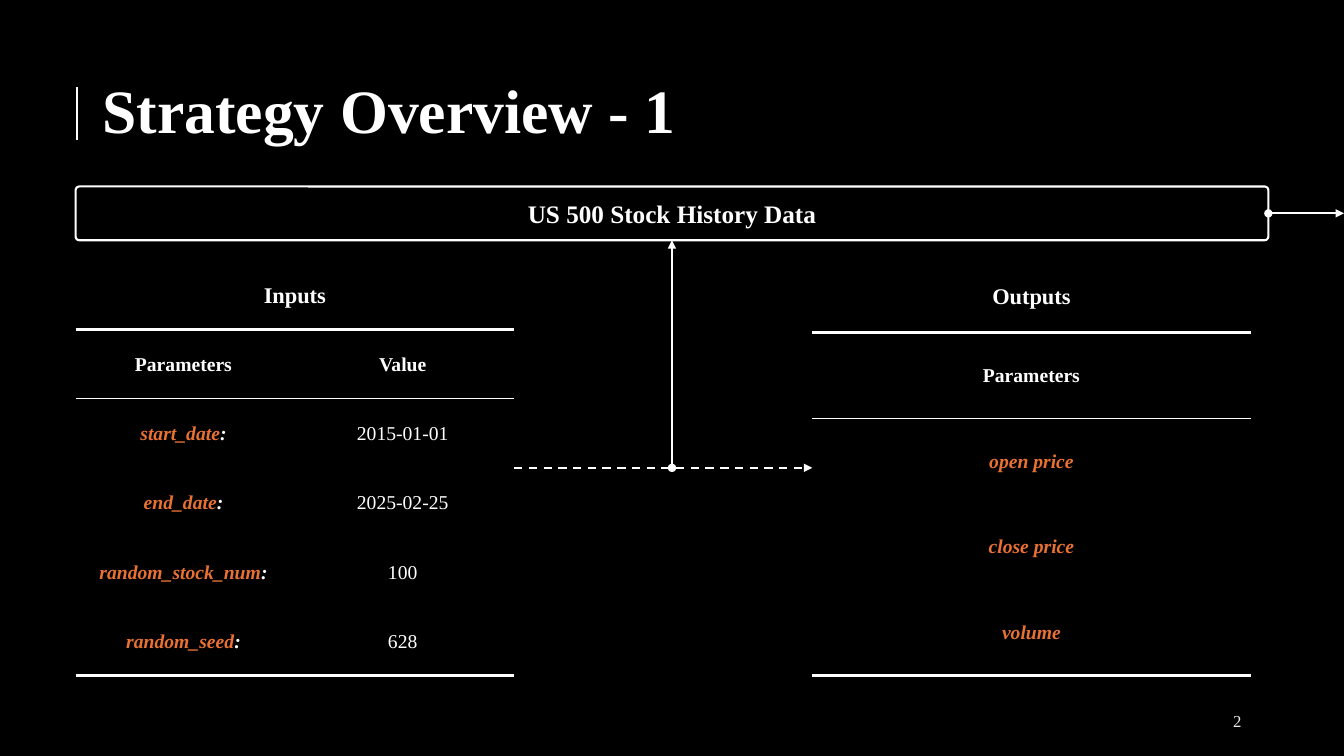
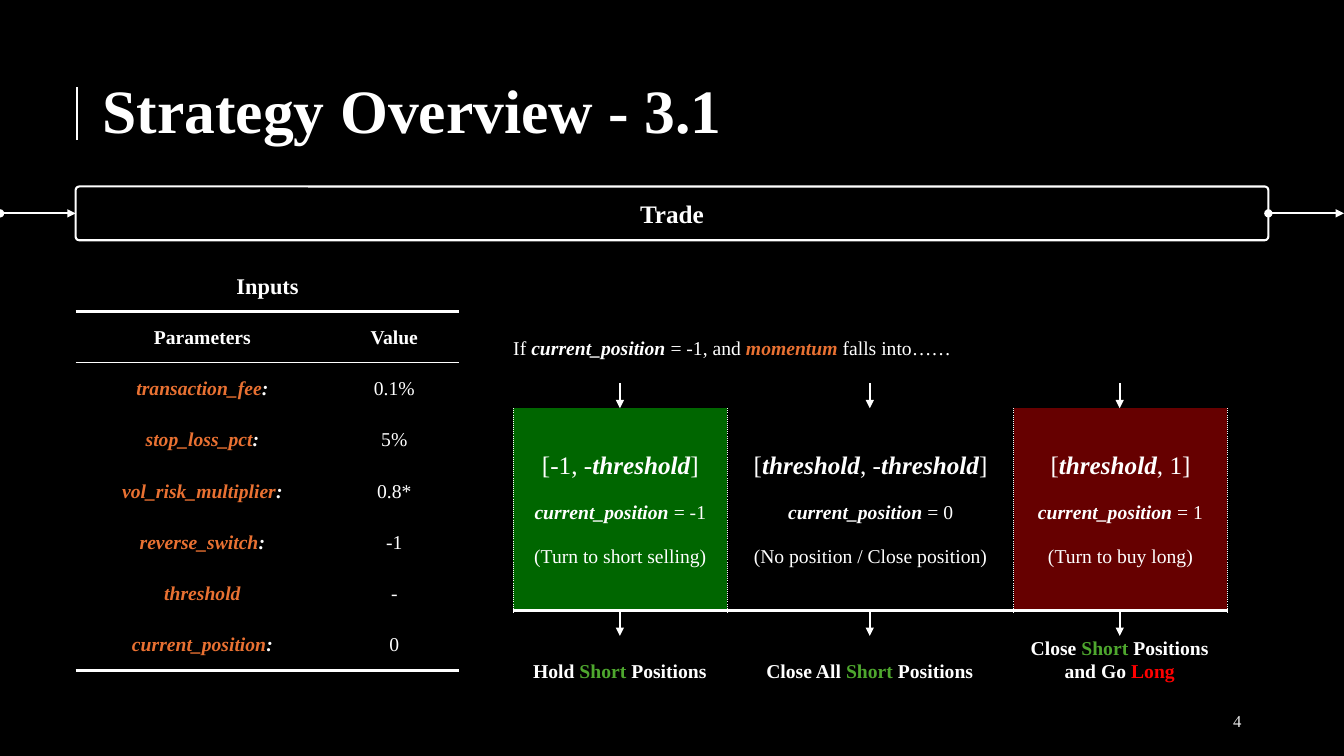
from collections import namedtuple

from lxml import etree
from pptx import Presentation
from pptx.dml.color import RGBColor
from pptx.enum.dml import MSO_LINE
from pptx.enum.shapes import MSO_CONNECTOR, MSO_SHAPE
from pptx.enum.text import MSO_ANCHOR, PP_ALIGN
from pptx.oxml.ns import qn
from pptx.util import Emu, Inches, Pt

STRAIGHT = MSO_CONNECTOR.STRAIGHT
ROUNDED = MSO_SHAPE.ROUNDED_RECTANGLE
DASH = MSO_LINE.DASH
LEFT, CENTER, RIGHT = PP_ALIGN.LEFT, PP_ALIGN.CENTER, PP_ALIGN.RIGHT
TOP, MIDDLE = MSO_ANCHOR.TOP, MSO_ANCHOR.MIDDLE

COLUMNS, ROWS, GRID_STEP = 160, 90, 76200
FONT = "Times New Roman"
BLACK, WHITE, GREY = "000000", "FFFFFF", "EAEAEA"
ORANGE, GREEN, RED = "E97132", "4EA72E", "FF0000"
SHORT_BAND, LONG_BAND = "006600", "660000"
PLAIN_TABLE = "{2D5ABB26-0587-4C30-8999-92F81FD0307C}"
THICK, THIN = (2.25, "solid"), (1, "solid")
DOTTED = (1, "sysDot")

Style = namedtuple("Style", "size color bold italic", defaults=(WHITE, False, False))
STYLES = {
    "title": Style(44, bold=True),
    "banner": Style(18, bold=True),
    "caption": Style(16, bold=True),
    "label": Style(14, bold=True),
    "value": Style(14),
    "term": Style(14, bold=True, italic=True),
    "parameter": Style(14, ORANGE, True, True),
    "range": Style(18),
    "range term": Style(18, bold=True, italic=True),
    "short": Style(14, GREEN, True),
    "long": Style(14, RED, True),
    "page": Style(12, GREY),
}

MARGIN, TABLE_TOP = 9, 31
BANNER_TOP, BANNER_WIDTH, BANNER_HEIGHT = 22.2, 142, 6.4
BANNER_MIDDLE = BANNER_TOP + BANNER_HEIGHT / 2
BANNER_LEFT_SIDE, BANNER_BOTTOM, BANNER_RIGHT_SIDE = 1, 2, 3


def grid(steps):
    """Turn grid columns or rows into a length."""
    return Emu(round(steps * GRID_STEP))


def color(hex_code):
    return RGBColor.from_string(hex_code)


def parameter(name, mark=":"):
    """Runs for a parameter name and the mark after it."""
    return [(name, "parameter"), (mark, "term")] if mark else [(name, "parameter")]


def write(frame, lines, align=CENTER, spacing=1.0, gap=0):
    """Fill a frame with lines, each a list of (text, style name) runs."""
    for index, line in enumerate(lines):
        paragraph = frame.add_paragraph() if index else frame.paragraphs[0]
        paragraph.alignment = align
        paragraph.line_spacing = spacing
        paragraph.space_before = Pt(gap if index else 0)
        for text, name in line:
            style = STYLES[name]
            run = paragraph.add_run()
            run.text = text
            run.font.name = FONT
            run.font.size = Pt(style.size)
            run.font.bold = style.bold
            run.font.italic = style.italic
            run.font.color.rgb = color(style.color)


def set_borders(cell, **sides):
    """Draw cell borders; sides L, R, T, B come in that order."""
    properties = cell._tc.get_or_add_tcPr()
    for side, (width, dash) in sides.items():
        line = etree.SubElement(properties, qn(f"a:ln{side}"), w=str(Pt(width)))
        fill = etree.SubElement(line, qn("a:solidFill"))
        etree.SubElement(fill, qn("a:srgbClr"), val=WHITE)
        etree.SubElement(line, qn("a:prstDash"), val=dash)


class Deck:
    def __init__(self):
        self.presentation = Presentation()
        self.presentation.slide_width = grid(COLUMNS)
        self.presentation.slide_height = grid(ROWS)
        backdrop = self.presentation.slide_master.background.fill
        backdrop.solid()
        backdrop.fore_color.rgb = color(BLACK)
        self.slide = None

    def new_slide(self, title, page):
        layout = self.presentation.slide_layouts.get_by_name("Title Only")
        self.slide = self.presentation.slides.add_slide(layout)
        heading = self.slide.shapes.title
        heading.left, heading.top = grid(11), grid(4.8)
        heading.width, heading.height = grid(138), grid(17.4)
        heading.text_frame.vertical_anchor = MIDDLE
        write(heading.text_frame, [[(title, "title")]], LEFT, 0.9)
        self.line((9.12, 16.7), (9.12, 10.3), tail=None)
        self.text(113, 83.4, 36, 4.8, [[(page, "page")]], RIGHT, anchor=MIDDLE, inset=0.1)

    def text(self, left, top, width, height, lines, align=LEFT, spacing=1.0,
             anchor=TOP, inset=0):
        box = self.slide.shapes.add_textbox(grid(left), grid(top), grid(width), grid(height))
        frame = box.text_frame
        frame.word_wrap = True
        frame.vertical_anchor = anchor
        frame.margin_left = frame.margin_right = Inches(inset)
        frame.margin_top = frame.margin_bottom = Inches(inset / 2)
        write(frame, lines, align, spacing)

    def line(self, start, end, head=None, tail="triangle", dash=None,
             start_joint=None, end_joint=None):
        """Draw a line; a joint is a (shape, side) pair."""
        connector = self.slide.shapes.add_connector(
            STRAIGHT, *(grid(steps) for steps in (*start, *end)))
        if start_joint:
            connector.begin_connect(*start_joint)
        if end_joint:
            connector.end_connect(*end_joint)
        connector.line.width = Pt(1.5)
        connector.line.color.rgb = color(WHITE)
        if dash:
            connector.line.dash_style = dash
        outline = connector.line._get_or_add_ln()
        for tag, tip in (("a:headEnd", head), ("a:tailEnd", tail)):
            if tip:
                etree.SubElement(outline, qn(tag), type=tip)
        etree.SubElement(connector._element.spPr, qn("a:effectLst"))

    def banner(self, stage, incoming=False):
        """Stage banner with the arrows that run off the slide's edges."""
        bar = self.slide.shapes.add_shape(
            ROUNDED, grid(MARGIN), grid(BANNER_TOP), grid(BANNER_WIDTH), grid(BANNER_HEIGHT))
        bar.adjustments[0] = 0.07
        bar.shadow.inherit = False
        bar.fill.background()
        bar.line.color.rgb = color(WHITE)
        bar.line.width = Pt(1.5)
        bar.text_frame.vertical_anchor = MIDDLE
        write(bar.text_frame, [[(stage, "banner")]])
        if incoming:
            self.line((0, BANNER_MIDDLE), (MARGIN, BANNER_MIDDLE), head="oval",
                      end_joint=(bar, BANNER_LEFT_SIDE))
        self.line((MARGIN + BANNER_WIDTH, BANNER_MIDDLE), (COLUMNS, BANNER_MIDDLE),
                  head="oval", start_joint=(bar, BANNER_RIGHT_SIDE))
        return bar

    def table(self, left, top, widths, heights):
        frame = self.slide.shapes.add_table(
            len(heights), len(widths), grid(left), grid(top),
            grid(sum(widths)), grid(sum(heights)))
        table = frame.table
        table.first_row = table.horz_banding = False
        table._tbl.tblPr.find(qn("a:tableStyleId")).text = PLAIN_TABLE
        for column, width in zip(table.columns, widths):
            column.width = grid(width)
        for row, height in zip(table.rows, heights):
            row.height = grid(height)
        return table

    def cell(self, cell, lines, fill=BLACK, gap=0, **borders):
        cell.margin_left = cell.margin_right = cell.margin_top = Inches(0.01)
        cell.margin_bottom = 0
        cell.vertical_anchor = MIDDLE
        write(cell.text_frame, lines, gap=gap)
        set_borders(cell, **borders)
        if fill:
            cell.fill.solid()
            cell.fill.fore_color.rgb = color(fill)
        else:
            cell.fill.background()

    def parameter_table(self, left, widths, heights, caption, headers, entries):
        """Three-rule table: caption, headers, then entries as lists of runs."""
        table = self.table(left, TABLE_TOP, widths, heights)
        if len(widths) > 1:
            table.cell(0, 0).merge(table.cell(0, len(widths) - 1))
        caption_row = [[(caption, "caption")]] + [[] for _ in widths[1:]]
        header_row = [[(header, "label")] for header in headers]
        rules = {0: THICK, 1: THIN, len(heights) - 1: THICK}
        for r, row in enumerate([caption_row, header_row, *entries]):
            borders = {"B": rules[r]} if r in rules else {}
            for c, runs in enumerate(row):
                self.cell(table.cell(r, c), [runs], **borders)

    def input_table(self, widths, row_height, inputs):
        entries = [[runs, [(value, "value")]] for runs, value in inputs]
        self.parameter_table(MARGIN, widths, [row_height] * (len(inputs) + 2),
                             "Inputs", ["Parameters", "Value"], entries)


def data_slide(deck):
    deck.new_slide("Strategy Overview - 1", "2")
    bar = deck.banner("US 500 Stock History Data")
    input_widths, outputs_left, flow_row = [25.7, 26.5], 96.7, 55.7
    deck.input_table(input_widths, 8.24, [
        (parameter("start_date"), "2015-01-01"),
        (parameter("end_date"), "2025-02-25"),
        (parameter("random_stock_num"), "100"),
        (parameter("random_seed"), "628"),
    ])
    outputs = ["open price", "close price", "volume"]
    deck.parameter_table(outputs_left, [sum(input_widths)], [8.6] + [10.2] * 4,
                         "Outputs", ["Parameters"],
                         [[parameter(name, "")] for name in outputs])
    deck.line((MARGIN + sum(input_widths), flow_row), (outputs_left, flow_row), dash=DASH)
    deck.line((COLUMNS / 2, flow_row), (COLUMNS / 2, BANNER_TOP + BANNER_HEIGHT),
              head="oval", end_joint=(bar, BANNER_BOTTOM))


def trade_slide(deck):
    deck.new_slide("Strategy Overview - 3.1", "4")
    deck.banner("Trade", incoming=True)
    deck.input_table([30.2, 15.5], 6.1, [
        (parameter("transaction_fee"), "0.1%"),
        (parameter("stop_loss_pct"), "5%"),
        (parameter("vol_risk_multiplier"), "0.8*"),
        (parameter("reverse_switch"), "-1"),
        (parameter("threshold", ""), "-"),
        (parameter("current_position"), "0"),
    ])

    bands_left, bands_top, bands_height = 61.1, 48.6, 24.1
    bands_bottom, arrow_length = bands_top + bands_height, 3
    threshold = ("threshold", "range term")
    bands = [
        ([("[-1, -", "range"), threshold, ("]", "range")],
         "= -1", "(Turn to short selling)", SHORT_BAND),
        ([("[", "range"), threshold, (", -", "range"), threshold, ("]", "range")],
         "= 0", "(No position / Close position)", None),
        ([("[", "range"), threshold, (", 1]", "range")],
         "= 1", "(Turn to buy long)", LONG_BAND),
    ]
    table = deck.table(bands_left, bands_top, [25.5, 34.1, 25.4], [bands_height])
    for c, (momentum_range, position, action, fill) in enumerate(bands):
        lines = [momentum_range,
                 [("current_position ", "term"), (position, "value")],
                 [(action, "value")]]
        deck.cell(table.cell(0, c), lines, fill, gap=16, L=DOTTED, R=DOTTED, B=THICK)

    deck.text(bands_left, 37.2, 82, 4.8, [[
        ("If ", "value"), ("current_position ", "term"), ("= -1, and ", "value"),
        ("momentum", "parameter"), (" falls into……", "value")]], spacing=2.0)

    short, positions = ("Short", "short"), (" Positions", "label")
    outcomes = [
        ([[("Hold ", "label"), short, positions]], 2.0),
        ([[("Close All ", "label"), short, positions]], 2.0),
        ([[("Close ", "label"), short, positions],
          [("and Go ", "label"), ("Long", "long")]], 1.0),
    ]
    outcome_width = 29
    for i, (lines, spacing) in enumerate(outcomes):
        center = 73.8 + 29.75 * i
        for start in (bands_top - arrow_length, bands_bottom):
            deck.line((center, start), (center, start + arrow_length))
        deck.text(center - outcome_width / 2, bands_bottom + arrow_length,
                  outcome_width, 5, lines, CENTER, spacing)


def main():
    deck = Deck()
    data_slide(deck)
    trade_slide(deck)
    deck.presentation.save("out.pptx")


if __name__ == "__main__":
    main()
